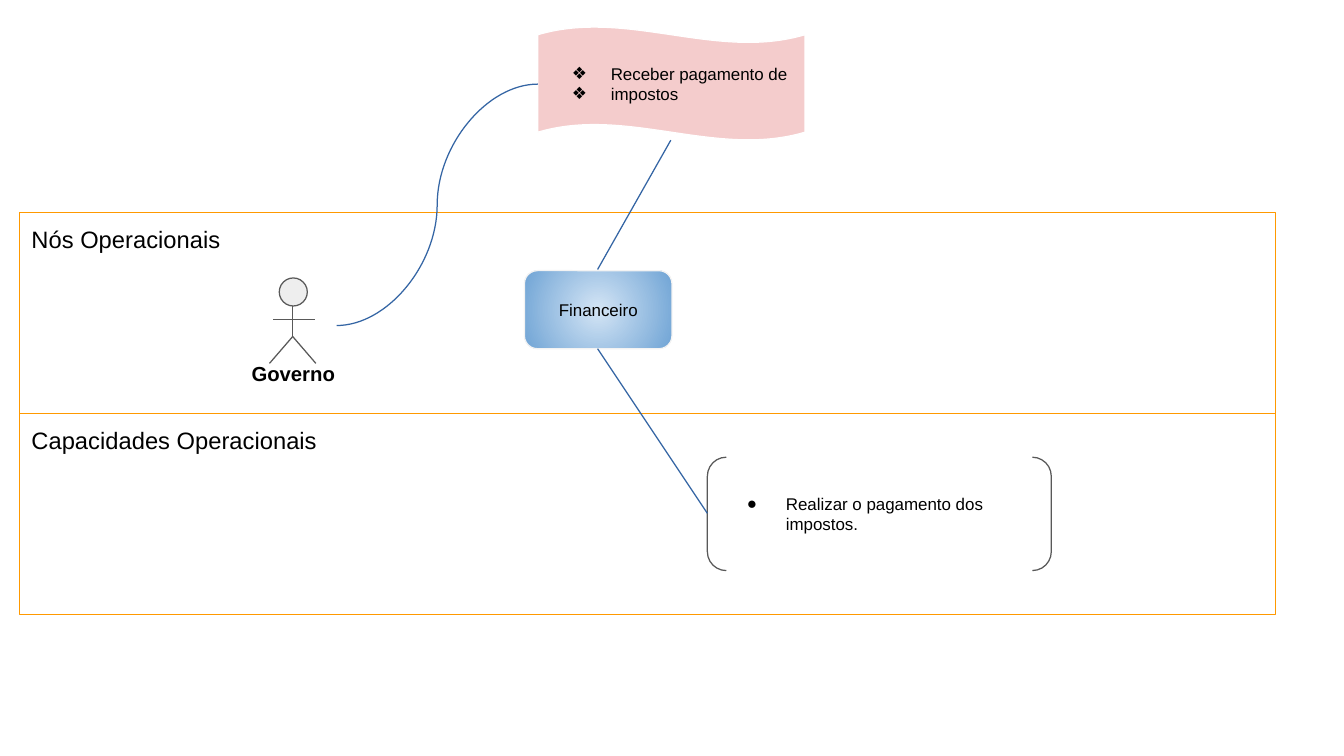
"""Builds the operational nodes and capabilities slide."""
from lxml import etree
from pptx import Presentation
from pptx.dml.color import RGBColor
from pptx.enum.shapes import MSO_CONNECTOR, MSO_SHAPE
from pptx.enum.text import MSO_ANCHOR, PP_ALIGN
from pptx.oxml.ns import qn
from pptx.util import Inches, Pt

STRAIGHT, CURVE = MSO_CONNECTOR.STRAIGHT, MSO_CONNECTOR.CURVE
RECT, WAVE, ROUNDED = MSO_SHAPE.RECTANGLE, MSO_SHAPE.WAVE, MSO_SHAPE.ROUNDED_RECTANGLE
BRACKETS, HEAD = MSO_SHAPE.DOUBLE_BRACKET, MSO_SHAPE.FLOWCHART_CONNECTOR
TOP, MIDDLE = MSO_ANCHOR.TOP, MSO_ANCHOR.MIDDLE
LEFT, CENTER = PP_ALIGN.LEFT, PP_ALIGN.CENTER
ORANGE, GRAY, BLUE = "FF9900", "595959", "3465A4"


def rgb(value):
    return RGBColor.from_string(value)


class Diagram:
    def __init__(self, s, font="Arial", color="000000", inset=0.1):
        self.s, self.font, self.color, self.inset = s, font, color, inset

    def text(self, sp, lines, size, bold=False, align=LEFT, anchor=TOP, bullet=None):
        tf = sp.text_frame
        frame = {"word_wrap": True, "vertical_anchor": anchor}
        for side in ("left", "right", "top", "bottom"):
            frame["margin_" + side] = Inches(self.inset)
        for name, value in frame.items():
            setattr(tf, name, value)
        for i, line in enumerate(lines):
            p = tf.add_paragraph() if i else tf.paragraphs[0]
            p.alignment = align
            r = p.add_run()
            r.text = line
            for name, value in {"name": self.font, "size": Pt(size), "bold": bold}.items():
                setattr(r.font, name, value)
            r.font.color.rgb = rgb(self.color)
            if bullet:
                self.bullet(p, bullet)

    def bullet(self, p, char):
        pPr = p._p.get_or_add_pPr()
        pPr.set("marL", str(Inches(0.5)))
        pPr.set("indent", str(Inches(-0.32)))
        clr = etree.SubElement(pPr, qn("a:buClr"))
        etree.SubElement(clr, qn("a:srgbClr")).set("val", self.color)
        etree.SubElement(pPr, qn("a:buFont")).set("typeface", self.font)
        etree.SubElement(pPr, qn("a:buChar")).set("char", char)

    def shape(self, kind, box, line, fill=None, adjust=(), group=None):
        sp = (group or self.s).shapes.add_shape(kind, *map(Inches, box))
        sp.shadow.inherit = False
        for i, value in enumerate(adjust):
            sp.adjustments[i] = value
        if fill:
            sp.fill.solid()
            sp.fill.fore_color.rgb = rgb(fill)
        else:
            sp.fill.background()
        sp.line.color.rgb = rgb(line)
        sp.line.width = Pt(0.74)
        return sp

    def radial(self, sp, colors):
        sp.fill.gradient()
        for stop, color in zip(sp.fill.gradient_stops, colors):
            stop.color.rgb = rgb(color)
        grad = sp._element.spPr.find(qn("a:gradFill"))
        grad.remove(grad.find(qn("a:lin")))
        shade = etree.SubElement(grad, qn("a:path"))
        shade.set("path", "circle")
        center = etree.SubElement(shade, qn("a:fillToRect"))
        for side in "ltrb":
            center.set(side, "50000")

    def label(self, box, text, size, group=None, **style):
        sp = (group or self.s).shapes.add_textbox(*map(Inches, box))
        self.text(sp, [text], size, **style)

    def link(self, start, end, color=BLUE, kind=STRAIGHT, group=None):
        cx = (group or self.s).shapes.add_connector(kind, *map(Inches, start + end))
        cx.line.color.rgb = rgb(color)
        cx.line.width = Pt(0.75)
        etree.SubElement(cx._element.spPr, qn("a:effectLst"))

    def actor(self, x, y, name):
        group = self.s.shapes.add_group_shape()
        self.shape(HEAD, (x - 0.11, y, 0.23, 0.23), GRAY, "EEEEEE", group=group)
        neck, hip = (x, y + 0.23), (x, y + 0.48)
        limbs = [(neck, hip), ((x - 0.16, y + 0.34), (x + 0.18, y + 0.34))]
        limbs += [(hip, (x + dx, y + 0.7)) for dx in (-0.19, 0.19)]
        for start, end in limbs:
            self.link(start, end, GRAY, group=group)
        self.label((x - 0.61, y + 0.58, 1.23, 0.41), name, 12, group, bold=True, align=CENTER)


prs = Presentation()
prs.slide_width, prs.slide_height = Inches(11.02), Inches(6.2)
d = Diagram(prs.slides.add_slide(prs.slide_layouts[6]))

LANE_TOP, LANE_HEIGHT = 1.74, 1.65
for row, heading in enumerate(["Nós Operacionais", "Capacidades Operacionais"]):
    lane = d.shape(RECT, (0.16, LANE_TOP + row * LANE_HEIGHT, 10.3, LANE_HEIGHT), ORANGE)
    d.text(lane, [heading], 14)

goal = d.shape(WAVE, (4.41, 0.22, 2.19, 0.93), "FFFFFF", "F4CCCC", (0.07, 0))
d.text(goal, ["Receber pagamento de", "impostos"], 10, anchor=MIDDLE, bullet="❖")

d.actor(2.4, 2.28, "Governo")

capability = d.shape(BRACKETS, (5.8, 3.75, 2.82, 0.93), GRAY, adjust=(0.167,))
d.text(capability, ["Realizar o pagamento dos impostos."], 10, anchor=MIDDLE, bullet="●")

node = d.shape(ROUNDED, (4.3, 2.22, 1.21, 0.64), "F3F3F3", adjust=(0.167,))
d.radial(node, ("D4E5F5", "70A4D5"))
d.text(node, ["Financeiro"], 10, align=CENTER, anchor=MIDDLE)

d.link((2.76, 2.67), (4.41, 0.69), kind=CURVE)
d.link((4.9, 2.21), (5.5, 1.15))
d.link((4.9, 2.86), (5.8, 4.21))

prs.save("out.pptx")
